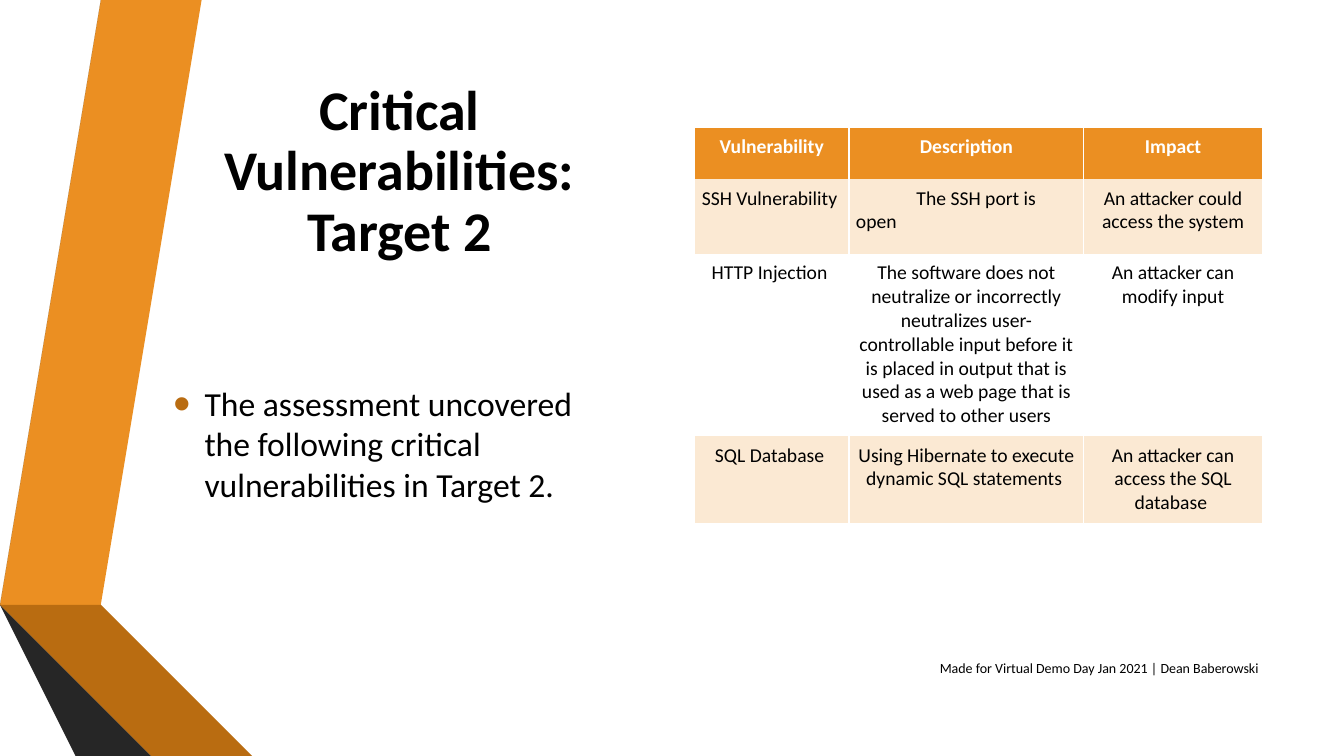
from lxml import etree
from pptx import Presentation
from pptx.dml.color import RGBColor
from pptx.enum import text
from pptx.oxml import ns
from pptx.util import Inches, Pt

ORANGE = RGBColor(0xEB, 0x8F, 0x22)
RUST = RGBColor(0xB9, 0x6C, 0x11)
BROWN = RGBColor(0x7B, 0x48, 0x0B)
GRAY = RGBColor(0x59, 0x59, 0x59)
DARK = RGBColor(0x40, 0x40, 0x40)
COAL = RGBColor(0x26, 0x26, 0x26)
CREAM = RGBColor(0xFB, 0xE9, 0xD3)
BLACK = RGBColor(0, 0, 0)
WHITE = RGBColor(0xFF, 0xFF, 0xFF)
LEFT, CENTER, RIGHT = text.PP_ALIGN.LEFT, text.PP_ALIGN.CENTER, text.PP_ALIGN.RIGHT
PLAIN = "{2D5ABB26-0587-4C30-8999-92F81FD0307C}"

RIBBONS = [
    (ORANGE, [(0.5, 5.78), (0.77, 5.83), (1.73, 0), (1.45, 0)]),
    (GRAY, [(1.39, 0), (1.11, 0), (0.16, 5.73), (0.44, 5.77)]),
    (COAL, [(0.16, 5.73), (1.45, 7.5), (1.51, 7.5)]),
    (BROWN, [(0.5, 5.79), (2.08, 7.5), (2.14, 7.5)]),
    (RUST, [(0.5, 5.78), (2.14, 7.5), (2.83, 7.5), (0.77, 5.83)]),
    (DARK, [(2.02, 7.5), (0.48, 5.83), (0.44, 5.77), (0.16, 5.73), (1.51, 7.5)]),
]
ROWS = [
    ["Vulnerability", "Description", "Impact"],
    ["SSH Vulnerability ", "The SSH port is open",
     "An attacker could access the system"],
    ["HTTP Injection ",
     "The software does not neutralize or incorrectly neutralizes "
     "user-controllable input before it is placed in output that is "
     "used as a web page that is served to other users",
     "An attacker can modify input"],
    ["SQL Database ", "Using Hibernate to execute dynamic SQL statements ",
     "An attacker can access the SQL database "],
]
FILLS = [ORANGE, CREAM, None, CREAM]
WIDTHS = [1.53, 2.33, 1.77]
HEIGHTS = [0.51, 0.74, 1.81, 0.86]


def add(parent, tag, **attrs):
    return etree.SubElement(parent, ns.qn(tag), attrs)


class Page:
    font = "Calibri"

    def __init__(self, slide):
        self.slide = slide

    def style(self, frame, words, size, align, color=BLACK, bold=False):
        frame.text = words
        para = frame.paragraphs[0]
        para.alignment = align
        font = para.runs[0].font
        font.name, font.size, font.bold = self.font, Pt(size), bold
        font.color.rgb = color
        return para

    def ribbon(self, color, points):
        pen = self.slide.shapes.build_freeform(*points[0], scale=Inches(1))
        pen.add_line_segments(points[1:], close=True)
        shape = pen.convert_to_shape()
        shape.shadow.inherit = False
        shape.fill.solid()
        shape.fill.fore_color.rgb = color
        shape.line.fill.background()

    def label(self, box, words, size, align=LEFT, bold=False):
        shape = self.slide.shapes.add_textbox(*map(Inches, box))
        frame = shape.text_frame
        frame.word_wrap = True
        frame.vertical_anchor = text.MSO_ANCHOR.MIDDLE
        return self.style(frame, words, size, align, bold=bold)

    def bullet(self, para, color):
        props = para._p.get_or_add_pPr()
        props.set("marL", str(Inches(0.31)))
        props.set("indent", str(-Inches(0.31)))
        add(add(props, "a:buClr"), "a:srgbClr", val=str(color))
        add(props, "a:buSzPct", val="145000")
        add(props, "a:buFont", typeface="Arial")
        add(props, "a:buChar", char="•")

    def edge(self, cell, side):
        line = etree.Element(ns.qn("a:ln" + side), w=str(Pt(1)))
        add(add(line, "a:solidFill"), "a:srgbClr", val=str(WHITE))
        cell._tc.get_or_add_tcPr().insert(0, line)

    def cell(self, cell, words, fill, head):
        cell.margin_left = cell.margin_right = Inches(0.07)
        cell.margin_top = cell.margin_bottom = Inches(0.07)
        if fill is None:
            cell.fill.background()
        else:
            cell.fill.solid()
            cell.fill.fore_color.rgb = fill
        return self.style(cell.text_frame, words, 14, CENTER,
                          WHITE if head else BLACK, head)

    def table(self, left, top):
        frame = self.slide.shapes.add_table(
            len(ROWS), len(WIDTHS), Inches(left), Inches(top),
            Inches(sum(WIDTHS)), Inches(sum(HEIGHTS)))
        grid = frame.table
        grid.horz_banding = False
        grid._tbl.tblPr.find(ns.qn("a:tableStyleId")).text = PLAIN
        for col, width in zip(grid.columns, WIDTHS):
            col.width = Inches(width)
        for i, row in enumerate(grid.rows):
            row.height = Inches(HEIGHTS[i])
            for j, cell in enumerate(row.cells):
                self.cell(cell, ROWS[i][j], FILLS[i], i == 0)
                if j < len(WIDTHS) - 1:
                    self.edge(cell, "R")
                if j > 0:
                    self.edge(cell, "L")
        para = grid.cell(1, 1).text_frame.paragraphs[0]
        para.alignment = LEFT
        para._p.get_or_add_pPr().set("indent", str(Inches(0.6)))


def main():
    deck = Presentation()
    deck.slide_width, deck.slide_height = Inches(13.33), Inches(7.5)
    page = Page(deck.slides.add_slide(deck.slide_layouts[6]))
    for color, points in RIBBONS:
        page.ribbon(color, points)
    title = page.label((1.62, 0.75, 4.68, 1.92),
                       "Critical Vulnerabilities: Target 2", 40, CENTER, True)
    title.line_spacing = 0.9
    body = page.label(
        (1.62, 2.92, 4.68, 2.96),
        "The assessment uncovered the following critical "
        "vulnerabilities in Target 2.", 24)
    body.space_before, body.space_after = Pt(5), Pt(6)
    page.bullet(body, RUST)
    page.table(6.89, 1.27)
    foot = page.label((7.91, 6.43, 4.67, 0.4),
                      "Made for Virtual Demo Day Jan 2021 | Dean Baberowski",
                      10, RIGHT)
    foot.space_after = Pt(6)
    deck.save("out.pptx")


if __name__ == "__main__":
    main()
